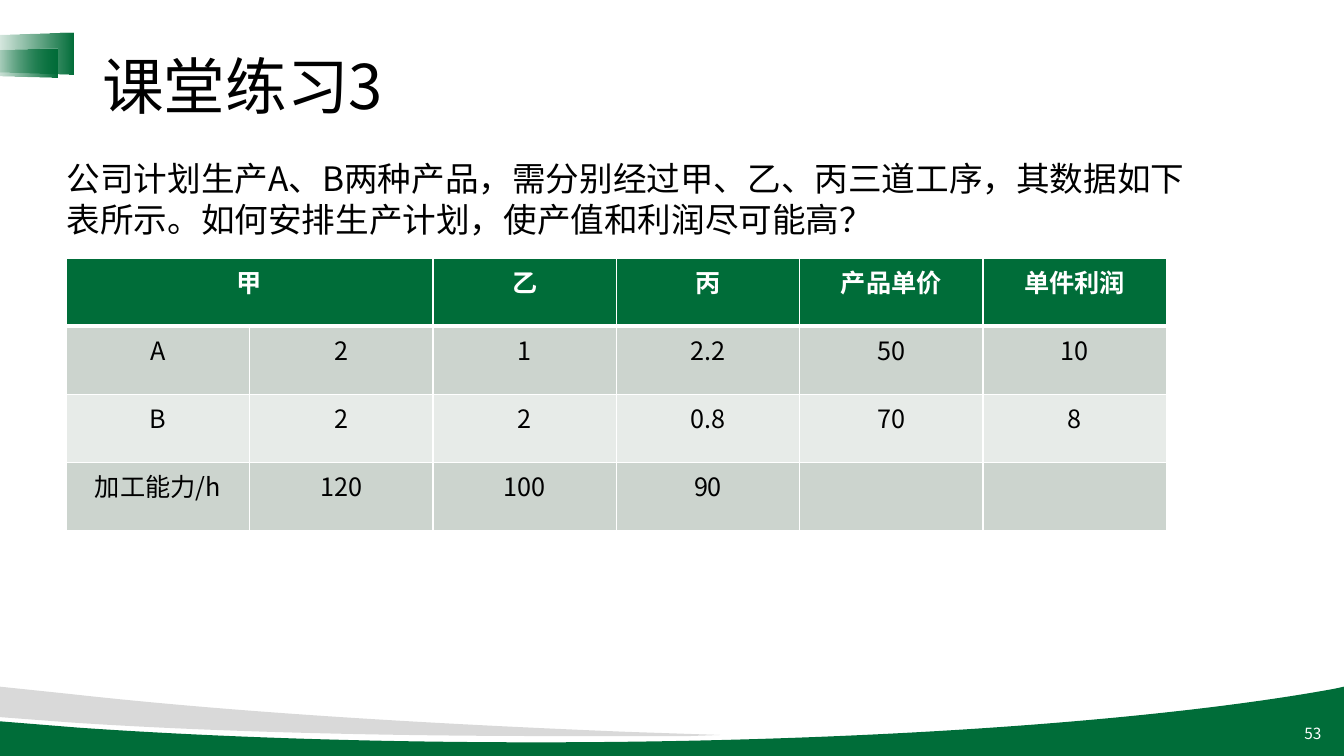
from dataclasses import dataclass

from lxml import etree
from pptx import Presentation
from pptx.dml.color import RGBColor
from pptx.enum.shapes import MSO_SHAPE
from pptx.enum.text import MSO_ANCHOR, PP_ALIGN
from pptx.oxml.ns import qn
from pptx.util import Emu, Pt

PX = 9525  # EMU per px, 96 px to the inch
FONT = "Noto Sans CJK SC"
GREEN, GREY, WHITE, BLACK = "006D39", "D9D9D9", "FFFFFF", "000000"
BAND_DARK, BAND_LIGHT = "CCD4CE", "E7EBE8"
LEFT, CENTER, RIGHT = PP_ALIGN.LEFT, PP_ALIGN.CENTER, PP_ALIGN.RIGHT
TOP, MIDDLE = MSO_ANCHOR.TOP, MSO_ANCHOR.MIDDLE
TRAPEZOID = MSO_SHAPE.TRAPEZOID

Point = tuple[int, int]


@dataclass
class Label:
    text: str
    box: tuple[int, int, int, int]
    size: int
    color: str = BLACK
    align: PP_ALIGN = LEFT
    anchor: MSO_ANCHOR = TOP
    line_spacing: float = 1.0


@dataclass
class Wave:
    """Segments of one point are lines, of three points are Bézier curves."""
    color: str
    start: Point
    segments: list[list[Point]]


LABELS = [
    Label("53", (980, 679, 288, 38), 11, WHITE, RIGHT, MIDDLE),
    Label("课堂练习3", (88, 38, 1104, 94), 44, anchor=MIDDLE, line_spacing=0.9),
    Label("公司计划生产A、B两种产品，需分别经过甲、乙、丙三道工序，其数据如下表所示。"
          "如何安排生产计划，使产值和利润尽可能高？",
          (54, 146, 1098, 389), 24),
]
WAVES = [
    Wave(GREEN, (1280, 654), [
        [(1280, 720)], [(0, 720)], [(0, 687)], [(74, 693)],
        [(204, 702), (352, 707), (511, 707)],
        [(828, 707), (1107, 686), (1271, 656)]]),
    Wave(GREY, (0, 654), [
        [(67, 661)], [(220, 678), (400, 689), (597, 697)],
        [(686, 700)], [(657, 701)], [(614, 701), (570, 701), (526, 701)],
        [(347, 701), (184, 696), (66, 688)], [(0, 683)]]),
]
# Boxes before the quarter turn
RIBBONS = [(8, 9, 40, 84), (6, 25, 28, 70)]

TABLE_BOX = (63, 246, 1048, 259)
ROWS = [
    ["甲", "", "乙", "丙", "产品单价", "单件利润"],
    ["A", "2", "1", "2.2", "50", "10"],
    ["B", "2", "2", "0.8", "70", "8"],
    ["加工能力/h", "120", "100", "90", "", ""],
]
ROW_FILLS = [GREEN, BAND_DARK, BAND_LIGHT, BAND_DARK]


def rgb(color: str) -> RGBColor:
    return RGBColor.from_string(color)


def emu(box: tuple[int, ...]) -> list[Emu]:
    return [Emu(length * PX) for length in box]


def style(paragraph, size: int, color: str, align: PP_ALIGN, bold: bool = False) -> None:
    paragraph.alignment = align
    font = paragraph.font
    font.name, font.size, font.bold = FONT, Pt(size), bold
    font.color.rgb = rgb(color)
    properties = paragraph._p.pPr.find(qn("a:defRPr"))
    etree.SubElement(properties, qn("a:ea"), typeface=FONT)


def add_label(slide, label: Label) -> None:
    frame = slide.shapes.add_textbox(*emu(label.box)).text_frame
    frame.word_wrap = True
    frame.vertical_anchor = label.anchor
    paragraph = frame.paragraphs[0]
    paragraph.text = label.text
    paragraph.line_spacing = label.line_spacing
    style(paragraph, label.size, label.color, label.align)


def add_wave(slide, wave: Wave) -> None:
    ends = [segment[-1] for segment in wave.segments]
    builder = slide.shapes.build_freeform(*wave.start, scale=PX)
    builder.add_line_segments(ends, close=True)
    shape = builder.convert_to_shape()
    shape.shadow.inherit = False
    shape.fill.solid()
    shape.fill.fore_color.rgb = rgb(wave.color)
    shape.line.fill.background()
    # Bend the three-point segments
    left = min(x for x, _ in [wave.start, *ends])
    top = min(y for _, y in [wave.start, *ends])
    lines = list(shape._element.iter(qn("a:lnTo")))
    for line, segment in zip(lines, wave.segments):
        if len(segment) == 3:
            curve = etree.Element(qn("a:cubicBezTo"))
            for x, y in segment:
                etree.SubElement(curve, qn("a:pt"), x=str(x - left), y=str(y - top))
            line.getparent().replace(line, curve)


def add_ribbon(slide, box: tuple[int, int, int, int]) -> None:
    shape = slide.shapes.add_shape(TRAPEZOID, *emu(box))
    shape.shadow.inherit = False
    shape.rotation = 270
    shape.adjustments[0] = 0.072
    shape.line.fill.background()
    shape.fill.gradient()
    shape.fill.gradient_angle = 270
    for stop, position in zip(shape.fill.gradient_stops, (0, 1)):
        stop.position = position
        stop.color.rgb = rgb(GREEN)
    # Fade from clear to solid
    clear = shape._element.spPr.find(".//" + qn("a:srgbClr"))
    etree.SubElement(clear, qn("a:alpha"), val="0")


def set_borders(cell, top: int, bottom: int) -> None:
    properties = cell._tc.get_or_add_tcPr()
    sides = {"lnL": 1, "lnR": 1, "lnT": top, "lnB": bottom}
    for index, (side, width) in enumerate(sides.items()):
        line = etree.Element(qn(f"a:{side}"), w=str(Pt(width)))
        fill = etree.SubElement(line, qn("a:solidFill"))
        etree.SubElement(fill, qn("a:srgbClr"), val=WHITE)
        properties.insert(index, line)


def add_data_table(slide) -> None:
    table = slide.shapes.add_table(len(ROWS), len(ROWS[0]), *emu(TABLE_BOX)).table
    table.horz_banding = False
    for row, (texts, fill) in enumerate(zip(ROWS, ROW_FILLS)):
        header = row == 0
        for column, text in enumerate(texts):
            cell = table.cell(row, column)
            cell.text = text
            cell.fill.solid()
            cell.fill.fore_color.rgb = rgb(fill)
            set_borders(cell, 3 if row == 1 else 1, 3 if header else 1)
            style(cell.text_frame.paragraphs[0], 18,
                  WHITE if header else BLACK, CENTER, header)
    table.cell(0, 0).merge(table.cell(0, 1))


def main() -> None:
    presentation = Presentation()
    presentation.slide_width, presentation.slide_height = emu((1280, 720))
    slide = presentation.slides.add_slide(presentation.slide_layouts[6])
    # Footer waves and corner ribbons
    for wave in WAVES:
        add_wave(slide, wave)
    for box in RIBBONS:
        add_ribbon(slide, box)
    # Page number, title and question
    for label in LABELS:
        add_label(slide, label)
    add_data_table(slide)
    presentation.save("out.pptx")


if __name__ == "__main__":
    main()
